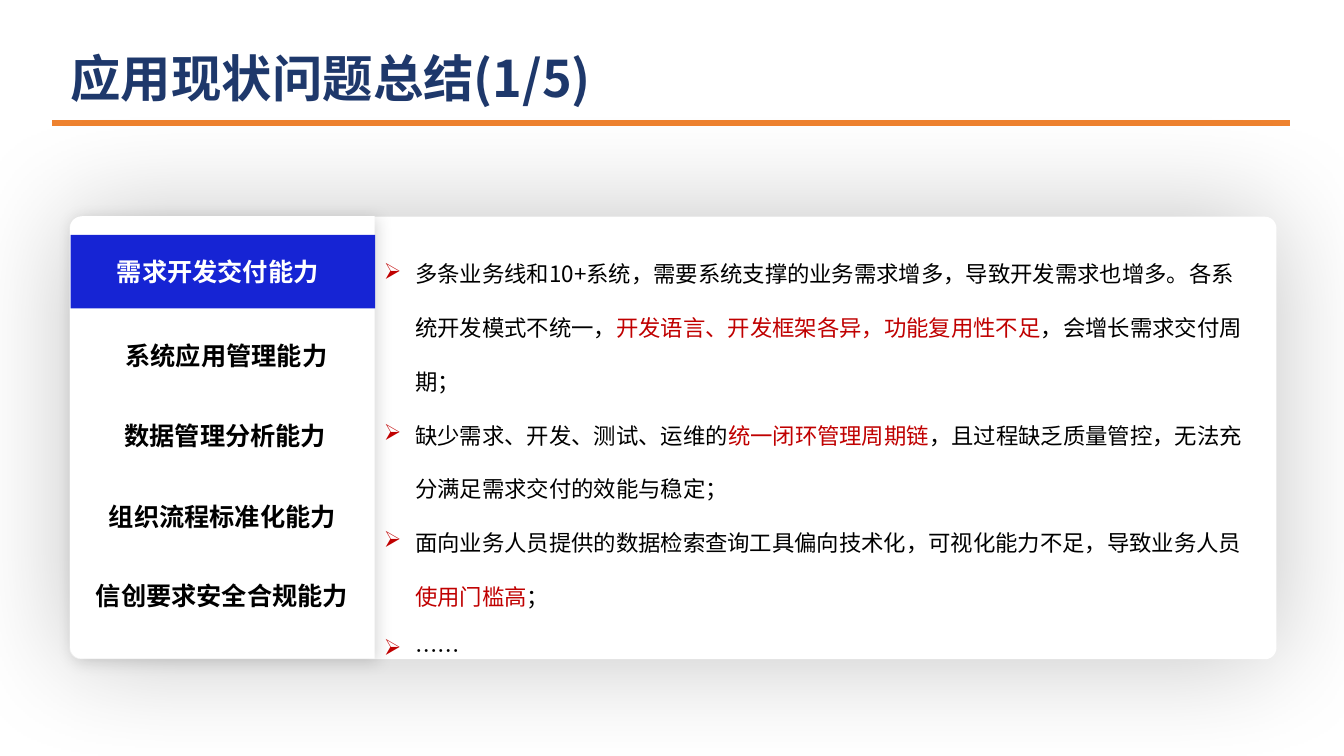
from dataclasses import dataclass

from lxml.etree import SubElement
from pptx import Presentation
from pptx.dml.color import RGBColor
from pptx.enum.shapes import MSO_CONNECTOR, MSO_SHAPE
from pptx.enum.text import MSO_ANCHOR, MSO_AUTO_SIZE, PP_ALIGN
from pptx.oxml.ns import qn
from pptx.util import Emu, Pt

PX = 9144
CJK_FONT = "Noto Sans CJK SC"
TITLE_FONT = "DejaVu Sans"
BLACK, WHITE, RED = "000000", "FFFFFF", "C00000"
NAVY, BLUE, ORANGE = "1E386B", "1624D4", "EE822F"


@dataclass(frozen=True)
class Box:
    left: int
    top: int
    width: int
    height: int

    def emu(self) -> list[Emu]:
        return [px(n) for n in (self.left, self.top, self.width, self.height)]


@dataclass(frozen=True)
class Shadow:
    opacity: int
    blur: int
    distance: int = 0
    angle: int = 0


@dataclass(frozen=True)
class Panel:
    preset: MSO_SHAPE
    box: Box
    fill: str
    corners: tuple[float, ...] = ()
    rotation: int = 0
    shadow: Shadow | None = None


@dataclass(frozen=True)
class Capability:
    name: str
    box: Box
    color: str = BLACK


@dataclass(frozen=True)
class Problem:
    before: str
    emphasis: str = ""
    after: str = ""


PANELS = [
    Panel(MSO_SHAPE.ROUNDED_RECTANGLE, Box(69, 215, 1197, 439), WHITE, (0.026,),
          shadow=Shadow(24, 82)),
    Panel(MSO_SHAPE.ROUND_2_SAME_RECTANGLE, Box(1, 283, 439, 302), WHITE, (0.039, 0),
          270, Shadow(15, 12, 2, 45)),
    Panel(MSO_SHAPE.RECTANGLE, Box(70, 233, 302, 73), BLUE),
]

CAPABILITIES = [
    Capability("需求开发交付能力", Box(101, 249, 230, 40), WHITE),
    Capability("系统应用管理能力", Box(102, 333, 245, 40)),
    Capability("数据管理分析能力", Box(101, 412, 245, 40)),
    Capability("组织流程标准化能力", Box(70, 492, 301, 40)),
    Capability("信创要求安全合规能力", Box(69, 571, 302, 40)),
]

PROBLEMS = [
    Problem("多条业务线和10+系统，需要系统支撑的业务需求增多，导致开发需求也增多。各系统开发模式不统一，",
            "开发语言、开发框架各异，功能复用性不足", "，会增长需求交付周期；"),
    Problem("缺少需求、开发、测试、运维的", "统一闭环管理周期链",
            "，且过程缺乏质量管控，无法充分满足需求交付的效能与稳定；"),
    Problem("面向业务人员提供的数据检索查询工具偏向技术化，可视化能力不足，导致业务人员",
            "使用门槛高", "；"),
    Problem("……"),
]


def px(length: int) -> Emu:
    return Emu(length * PX)


def rgb(color: str) -> RGBColor:
    return RGBColor.from_string(color)


def set_font(paragraph, size: int, color: str | None = None, bold: bool = False) -> None:
    font = paragraph.font
    font.size, font.bold, font.name = Pt(size), bold, CJK_FONT
    if color:
        font.color.rgb = rgb(color)
    SubElement(font._element, qn("a:ea"), typeface=CJK_FONT)


def add_shadow(shape, shadow: Shadow) -> None:
    effects = shape._element.spPr.find(qn("a:effectLst"))
    outer = SubElement(effects, qn("a:outerShdw"), blurRad=str(Pt(shadow.blur)),
                       dist=str(Pt(shadow.distance)), dir=str(shadow.angle * 60000),
                       algn="ctr", rotWithShape="0")
    tint = SubElement(outer, qn("a:srgbClr"), val=BLACK)
    SubElement(tint, qn("a:alpha"), val=str(shadow.opacity * 1000))


def add_panel(slide, panel: Panel) -> None:
    shape = slide.shapes.add_shape(panel.preset, *panel.box.emu())
    for index, corner in enumerate(panel.corners):
        shape.adjustments[index] = corner
    shape.rotation = panel.rotation
    shape.fill.solid()
    shape.fill.fore_color.rgb = rgb(panel.fill)
    shape.line.fill.background()
    shape.shadow.inherit = False
    if panel.shadow:
        add_shadow(shape, panel.shadow)


def add_text_frame(slide, box: Box, anchor: MSO_ANCHOR, grows: bool = True):
    frame = slide.shapes.add_textbox(*box.emu()).text_frame
    frame.word_wrap = True
    frame.vertical_anchor = anchor
    frame.auto_size = MSO_AUTO_SIZE.SHAPE_TO_FIT_TEXT if grows else MSO_AUTO_SIZE.NONE
    return frame


def add_rule(slide) -> None:
    rule = slide.shapes.add_connector(
        MSO_CONNECTOR.STRAIGHT, px(52), px(122), px(1279), px(122))
    rule.line.color.rgb = rgb(ORANGE)
    rule.line.width = Pt(4.5)
    SubElement(rule._element.spPr, qn("a:effectLst"))


def add_title(slide) -> None:
    frame = add_text_frame(slide, Box(70, 27, 1202, 99), MSO_ANCHOR.MIDDLE, grows=False)
    frame.margin_left = 0
    title = frame.paragraphs[0]
    for text, typeface in (("应用现状问题总结", TITLE_FONT), ("(1/5)", CJK_FONT)):
        run = title.add_run()
        run.text, run.font.name = text, typeface
    set_font(title, 36, NAVY, bold=True)


def add_capability(slide, capability: Capability) -> None:
    label = add_text_frame(slide, capability.box, MSO_ANCHOR.MIDDLE).paragraphs[0]
    label.text = capability.name
    label.alignment = PP_ALIGN.CENTER
    set_font(label, 18, capability.color, bold=True)


def add_bullet(paragraph) -> None:
    properties = paragraph._p.get_or_add_pPr()
    properties.set("marL", str(px(31)))
    properties.set("indent", str(px(-31)))
    bullet_color = SubElement(properties, qn("a:buClr"))
    SubElement(bullet_color, qn("a:srgbClr"), val=RED)
    SubElement(properties, qn("a:buChar"), char="➢")


def add_problems(slide, problems: list[Problem]) -> None:
    frame = add_text_frame(slide, Box(371, 227, 876, 387), MSO_ANCHOR.TOP)
    for index, problem in enumerate(problems):
        paragraph = frame.add_paragraph() if index else frame.paragraphs[0]
        paragraph.line_spacing = 2.0
        add_bullet(paragraph)
        set_font(paragraph, 16)
        for text, color in ((problem.before, BLACK), (problem.emphasis, RED),
                            (problem.after, BLACK)):
            if text:
                run = paragraph.add_run()
                run.text = text
                run.font.color.rgb = rgb(color)


def main() -> None:
    presentation = Presentation()
    presentation.slide_width, presentation.slide_height = px(1333), px(750)
    slide = presentation.slides.add_slide(presentation.slide_layouts[6])
    add_rule(slide)
    for panel in PANELS:
        add_panel(slide, panel)
    for capability in CAPABILITIES:
        add_capability(slide, capability)
    add_problems(slide, PROBLEMS)
    add_title(slide)
    presentation.save("out.pptx")


if __name__ == "__main__":
    main()
